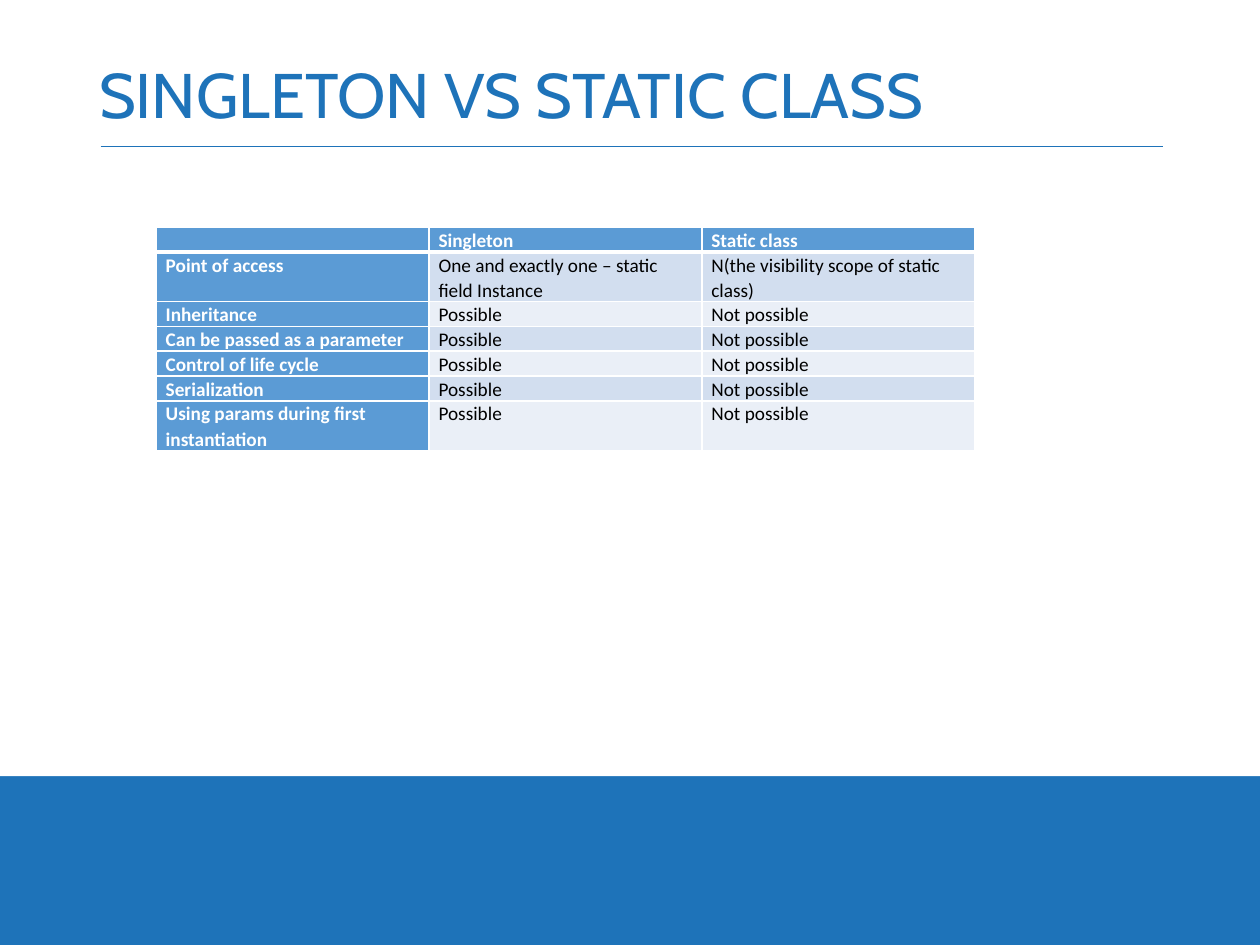
from lxml.etree import SubElement
from pptx import Presentation
from pptx.dml.color import RGBColor
from pptx.enum.shapes import MSO_CONNECTOR as Conn, MSO_SHAPE as Shape
from pptx.enum.text import MSO_ANCHOR as Anchor
from pptx.oxml.ns import qn
from pptx.util import Cm, Pt

BLUE = RGBColor(0x1E, 0x73, 0xB9)
HEADER = RGBColor(0x5B, 0x9B, 0xD5)
BAND_DARK = RGBColor(0xD2, 0xDE, 0xEF)
BAND_LIGHT = RGBColor(0xEA, 0xEF, 0xF7)
WHITE = RGBColor(0xFF, 0xFF, 0xFF)
BLACK = RGBColor(0, 0, 0)

TITLE_FONT = {"name": "Cabin", "size": Pt(36)}
CELL_FONT = {"name": "Calibri", "size": Pt(11)}
CELL_MARGINS = {"margin_left": Cm(0.19), "margin_right": Cm(0.19),
                "margin_top": 0, "margin_bottom": 0}
ROW_HEIGHT = 0.5
COLUMN_WIDTH = 5.5
ROWS = [
    ("", "Singleton", "Static class"),
    ("Point of access", "One and exactly one – static field Instance",
     "N(the visibility scope of static class)"),
    ("Inheritance", "Possible", "Not possible"),
    ("Can be passed as a parameter", "Possible", "Not possible"),
    ("Control of life cycle", "Possible", "Not possible"),
    ("Serialization", "Possible", "Not possible"),
    ("Using params during first instantiation", "Possible", "Not possible"),
]
TWO_LINE_ROWS = (1, 6)


def apply(obj, values):
    for name, value in values.items():
        setattr(obj, name, value)


def write(p, text, font, color, spacing):
    p.line_spacing = spacing
    if not text:
        SubElement(p._p, qn("a:endParaRPr"), sz=str(int(font["size"].pt * 100)))
        return
    r = p.add_run()
    r.text = text
    apply(r.font, font)
    r.font.color.rgb = color


def add_panel(slide, width, height):
    sp = slide.shapes.add_shape(Shape.RECTANGLE, 0, 0, width, height)
    sp.shadow.inherit = False
    sp.fill.solid()
    sp.fill.fore_color.rgb = WHITE
    sp.line.fill.background()


def add_rule(slide, left, right, y):
    line = slide.shapes.add_connector(Conn.STRAIGHT, left, y, right, y)
    line.line.color.rgb = BLUE
    line.line.width = Pt(0.5)
    SubElement(line._element.spPr, qn("a:effectLst"))


def add_title(slide, text):
    box = slide.shapes.add_textbox(Cm(1.75), Cm(1.02), Cm(21.9), Cm(1.93))
    tf = box.text_frame
    apply(tf, {"word_wrap": True, "vertical_anchor": Anchor.MIDDLE})
    write(tf.paragraphs[0], text, TITLE_FONT, BLUE, 0.9)


def set_borders(cell, widths):
    tc_pr = cell._tc.get_or_add_tcPr()
    for side, width in widths.items():
        ln = SubElement(tc_pr, qn(f"a:ln{side}"), w=str(Pt(width)))
        fill = SubElement(ln, qn("a:solidFill"))
        SubElement(fill, qn("a:srgbClr"), val=str(WHITE))


def format_cell(cell, text, row, column):
    heading = row == 0 or column == 0
    band = BAND_DARK if row % 2 else BAND_LIGHT
    apply(cell, CELL_MARGINS)
    set_borders(cell, {"L": 1, "R": 1, "T": 3 if row == 1 else 1,
                       "B": 3 if row == 0 else 1})
    cell.fill.solid()
    cell.fill.fore_color.rgb = HEADER if heading else band
    write(cell.text_frame.paragraphs[0], text, {**CELL_FONT, "bold": heading},
          WHITE if heading else BLACK, 1.07)


def add_comparison(slide, rows):
    columns = len(rows[0])
    heights = [ROW_HEIGHT * (2 if i in TWO_LINE_ROWS else 1)
               for i in range(len(rows))]
    table = slide.shapes.add_table(len(rows), columns, Cm(3.15), Cm(4.58),
                                   Cm(COLUMN_WIDTH * columns),
                                   Cm(sum(heights))).table
    for column in table.columns:
        column.width = Cm(COLUMN_WIDTH)
    for i, (texts, height) in enumerate(zip(rows, heights)):
        table.rows[i].height = Cm(height)
        for j, text in enumerate(texts):
            format_cell(table.cell(i, j), text, i, j)


def main():
    prs = Presentation()
    apply(prs, {"slide_width": Cm(25.4), "slide_height": Cm(19.05)})
    slide = prs.slides.add_slide(prs.slide_layouts[6])
    slide.background.fill.solid()
    slide.background.fill.fore_color.rgb = BLUE
    add_panel(slide, prs.slide_width, Cm(15.65))
    add_rule(slide, Cm(2.03), Cm(23.44), Cm(2.95))
    add_title(slide, "SINGLETON VS STATIC CLASS")
    add_comparison(slide, ROWS)
    prs.save("out.pptx")


if __name__ == "__main__":
    main()
